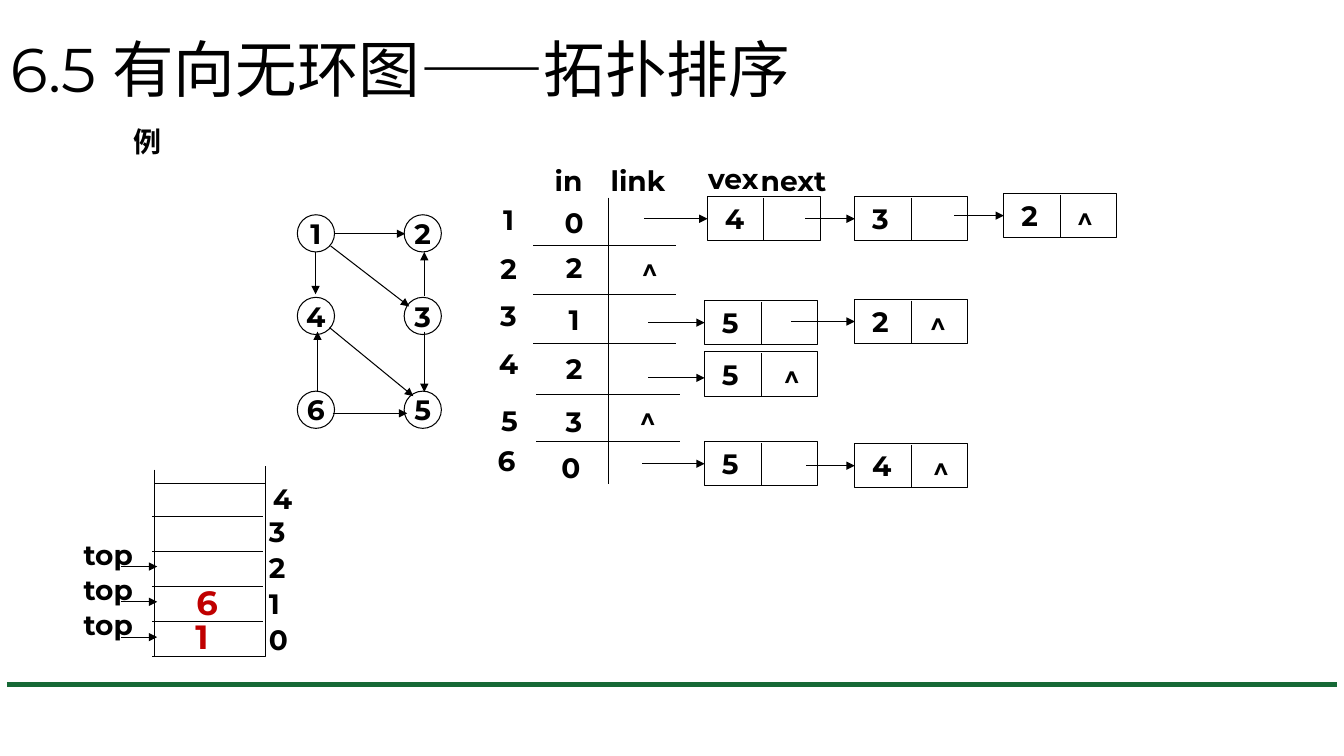
from dataclasses import dataclass
from typing import Optional

from lxml.etree import SubElement
from pptx import Presentation
from pptx.dml.color import RGBColor
from pptx.enum.shapes import MSO_CONNECTOR, MSO_SHAPE
from pptx.enum.text import MSO_ANCHOR, MSO_AUTO_SIZE, PP_ALIGN
from pptx.oxml.ns import qn
from pptx.util import Pt

BLACK = RGBColor(0x00, 0x00, 0x00)
WHITE = RGBColor(0xFF, 0xFF, 0xFF)
RED = RGBColor(0xC0, 0x00, 0x00)
GREEN = RGBColor(0x16, 0x69, 0x36)

LABEL_FONT = {"name": "Montserrat", "size": Pt(20), "bold": True}
PUSHED_FONT = LABEL_FONT | {"size": Pt(24)}
TITLE_FONT = {"name": "Montserrat", "size": Pt(44), "bold": False}
CENTERED = {"vertical_anchor": MSO_ANCHOR.MIDDLE, "word_wrap": False}
LEFT_FREE = {"vertical_anchor": MSO_ANCHOR.TOP, "word_wrap": False}
LEFT_WRAPPED = {"vertical_anchor": MSO_ANCHOR.TOP, "word_wrap": True}
GROWING = {"auto_size": MSO_AUTO_SIZE.SHAPE_TO_FIT_TEXT}

LABEL_H = 31.7
DIGIT_W = 28.1
VERTEX_D = 26.6
NODE_W = 80.6
STACK_LEFT, STACK_TOP, STACK_W, STACK_BOTTOM = 110.2, 345.6, 79.2, 468.7


@dataclass
class Label:
    text: str
    x: float
    y: float
    width: float = DIGIT_W


@dataclass
class Segment:
    x1: float
    y1: float
    x2: float
    y2: float
    arrow: bool = False


@dataclass
class ListNode:
    """A list cell, with the start of the arrow into it and the spot of its null mark."""
    vertex: str
    x: float
    y: float
    arrow_from: float
    null_dx: Optional[float] = None
    arrow_dy: float = 0


@dataclass
class HeadRow:
    vertex: Label
    in_degree: Label


VERTICES = [
    Label("1", 212.4, 153.4), Label("2", 288.7, 153.4),
    Label("3", 288.7, 212.4), Label("4", 212.4, 212.4),
    Label("5", 288.7, 279.4), Label("6", 212.4, 279.4),
]
EDGES = [
    Segment(239, 167, 289.4, 167, True),
    Segment(225.4, 180, 225.4, 210.2, True),
    Segment(237.6, 295.2, 290.9, 295.2, True),
    Segment(226.8, 280, 226.8, 236.9, True),
    Segment(303.1, 236.9, 303.1, 280, True),
    Segment(303.1, 211.7, 303.1, 180, True),
    Segment(236.2, 175.7, 292.3, 218.9, True),
    Segment(235.4, 234, 295.2, 283, True),
]
HEAD_ROWS = [
    HeadRow(Label("1", 349.2, 141.1), Label("0", 396, 143.3)),
    HeadRow(Label("2", 349.2, 175.7), Label("2", 396, 175)),
    HeadRow(Label("3", 349.2, 209.5), Label("1", 396, 212.4)),
    HeadRow(Label("4", 349.2, 243.4), Label("2", 396, 247)),
    HeadRow(Label("5", 349.9, 284.4), Label("3", 396, 285.1)),
    HeadRow(Label("6", 347.8, 313.2), Label("0", 393.8, 318.2)),
]
HEAD_RULES = [
    Segment(380.9, 175.7, 483.1, 175.7),
    Segment(380.9, 210.2, 483.1, 210.2),
    Segment(380.9, 245.5, 483.1, 245.5),
    Segment(383, 281.5, 486, 281.5),
    Segment(383, 315.4, 486, 315.4),
    Segment(434.9, 141.1, 434.9, 345.6),
]
HEADINGS = [
    Label("in", 388.8, 113, 34.6), Label("link", 428.4, 113, 54.7),
    Label("vex", 497.5, 111.6, 52.6), Label("next", 535, 113, 63.4),
]
EMPTY_LINKS = [Label("^", 450, 176.4), Label("^", 448.6, 283)]
LIST_NODES = [
    ListNode("4", 505.4, 140.4, 460.1),
    ListNode("3", 610.6, 140.4, 575.3),
    ListNode("2", 717.1, 138.2, 681.8, null_dx=43.9),
    ListNode("5", 503.3, 214.6, 463),
    ListNode("2", 610.6, 213.8, 565.2, null_dx=45.3),
    ListNode("5", 503.3, 251.3, 463, null_dx=48.2, arrow_dy=2.8),
    ListNode("5", 503.3, 315.4, 458.6),
    ListNode("4", 610.6, 316.8, 576, null_dx=47.5),
]
STACK_SIDES = [
    Segment(STACK_LEFT, 335.5, STACK_LEFT, STACK_BOTTOM),
    Segment(STACK_LEFT + STACK_W, 467.3, STACK_LEFT + STACK_W, 332.6),
    Segment(STACK_LEFT, STACK_TOP, STACK_LEFT + STACK_W, STACK_TOP),
]


def apply(target, values: dict) -> None:
    for key, value in values.items():
        setattr(target, key, value)


def write(shape, text: str, font: dict, frame: dict, align=PP_ALIGN.LEFT, color=BLACK) -> None:
    apply(shape.text_frame, frame)
    paragraph = shape.text_frame.paragraphs[0]
    paragraph.alignment = align
    run = paragraph.add_run()
    run.text = text
    apply(run.font, font)
    run.font.color.rgb = color


def add_label(slide, label: Label, frame: dict, align=PP_ALIGN.LEFT,
              font: dict = LABEL_FONT, color=BLACK, height: float = LABEL_H) -> None:
    box = slide.shapes.add_textbox(Pt(label.x), Pt(label.y), Pt(label.width), Pt(height))
    write(box, label.text, font, frame | GROWING, align, color)


def add_segment(slide, segment: Segment, color=BLACK, weight: float = 0.75):
    line = slide.shapes.add_connector(
        MSO_CONNECTOR.STRAIGHT,
        Pt(segment.x1), Pt(segment.y1), Pt(segment.x2), Pt(segment.y2))
    line.line.color.rgb = color
    line.line.width = Pt(weight)
    if segment.arrow:
        SubElement(line.line._get_or_add_ln(), qn("a:tailEnd"), type="triangle")
    SubElement(line._element.spPr, qn("a:effectLst"))
    return line


def add_outline(slide, kind, x: float, y: float, width: float, height: float):
    shape = slide.shapes.add_shape(kind, Pt(x), Pt(y), Pt(width), Pt(height))
    shape.shadow.inherit = False
    shape.fill.background()
    shape.line.color.rgb = BLACK
    shape.line.width = Pt(0.75)
    return shape


def add_list_node(slide, node: ListNode) -> None:
    cell = add_outline(slide, MSO_SHAPE.RECTANGLE, node.x, node.y, NODE_W, LABEL_H)
    frame = {"vertical_anchor": MSO_ANCHOR.MIDDLE, "word_wrap": True, "margin_left": Pt(12.4)}
    write(cell, node.vertex, LABEL_FONT, frame | GROWING)
    divider_x = node.x + NODE_W / 2
    add_segment(slide, Segment(divider_x, node.y + 1, divider_x, node.y + LABEL_H))
    arrow_y = node.y + LABEL_H / 2 + node.arrow_dy
    arrow = add_segment(slide, Segment(node.arrow_from, arrow_y, node.x, arrow_y, True))
    if not node.arrow_dy:
        arrow.end_connect(cell, 1)
    if node.null_dx is not None:
        mark = Label("^", node.x + node.null_dx, node.y + 1.6)
        add_label(slide, mark, CENTERED, PP_ALIGN.CENTER)


def add_stack(slide) -> None:
    body = add_outline(slide, MSO_SHAPE.RECTANGLE, STACK_LEFT, STACK_TOP,
                       STACK_W, STACK_BOTTOM - STACK_TOP)
    body.fill.solid()
    body.fill.fore_color.rgb = WHITE
    for side in STACK_SIDES:
        add_segment(slide, side)
    for level in range(5):
        y = STACK_BOTTOM - 25 * level
        add_segment(slide, Segment(108.7, y, 187.9, y))
    for index in range(4):
        add_label(slide, Label(str(index), 185, 441.4 - 25.7 * index, 35), LEFT_WRAPPED)
    add_label(slide, Label("4", 187.9, 340.6), LEFT_FREE)
    for step in range(3):
        top_y = 430.6 - 25.2 * step
        add_segment(slide, Segment(86.4, top_y + 24.5, 112.3, top_y + 24.5, True))
        add_label(slide, Label("top", 52.6, top_y, 50.4), LEFT_FREE)
    for pushed in (Label("1", 132.5, 436.3, 31), Label("6", 133.2, 411.8, 31)):
        add_label(slide, pushed, LEFT_FREE, font=PUSHED_FONT, color=RED, height=36.7)


def main() -> None:
    presentation = Presentation()
    apply(presentation, {"slide_width": Pt(960), "slide_height": Pt(540)})
    slide = presentation.slides.add_slide(presentation.slide_layouts[5])
    add_segment(slide, Segment(5, 488.9, 954.7, 488.9), GREEN, 3.75)

    title = slide.shapes.title
    apply(title, {"left": Pt(0), "top": Pt(-0.7), "width": Pt(828), "height": Pt(104.4)})
    write(title, "6.5 有向无环图——拓扑排序", TITLE_FONT,
          {"vertical_anchor": MSO_ANCHOR.MIDDLE, "word_wrap": True,
           "auto_size": MSO_AUTO_SIZE.NONE})
    title.text_frame.paragraphs[0].line_spacing = 0.9
    add_label(slide, Label("例", 88.6, 85.7, 28.8), LEFT_WRAPPED)

    add_stack(slide)
    for vertex in VERTICES:
        circle = add_outline(slide, MSO_SHAPE.OVAL, vertex.x, vertex.y, VERTEX_D, VERTEX_D)
        write(circle, vertex.text, LABEL_FONT, CENTERED, PP_ALIGN.CENTER)
    for segment in EDGES + HEAD_RULES:
        add_segment(slide, segment)
    row_labels = [label for row in HEAD_ROWS for label in (row.vertex, row.in_degree)]
    for label in HEADINGS + row_labels + EMPTY_LINKS:
        add_label(slide, label, CENTERED, PP_ALIGN.CENTER)
    for node in LIST_NODES:
        add_list_node(slide, node)

    presentation.save("out.pptx")


if __name__ == "__main__":
    main()
